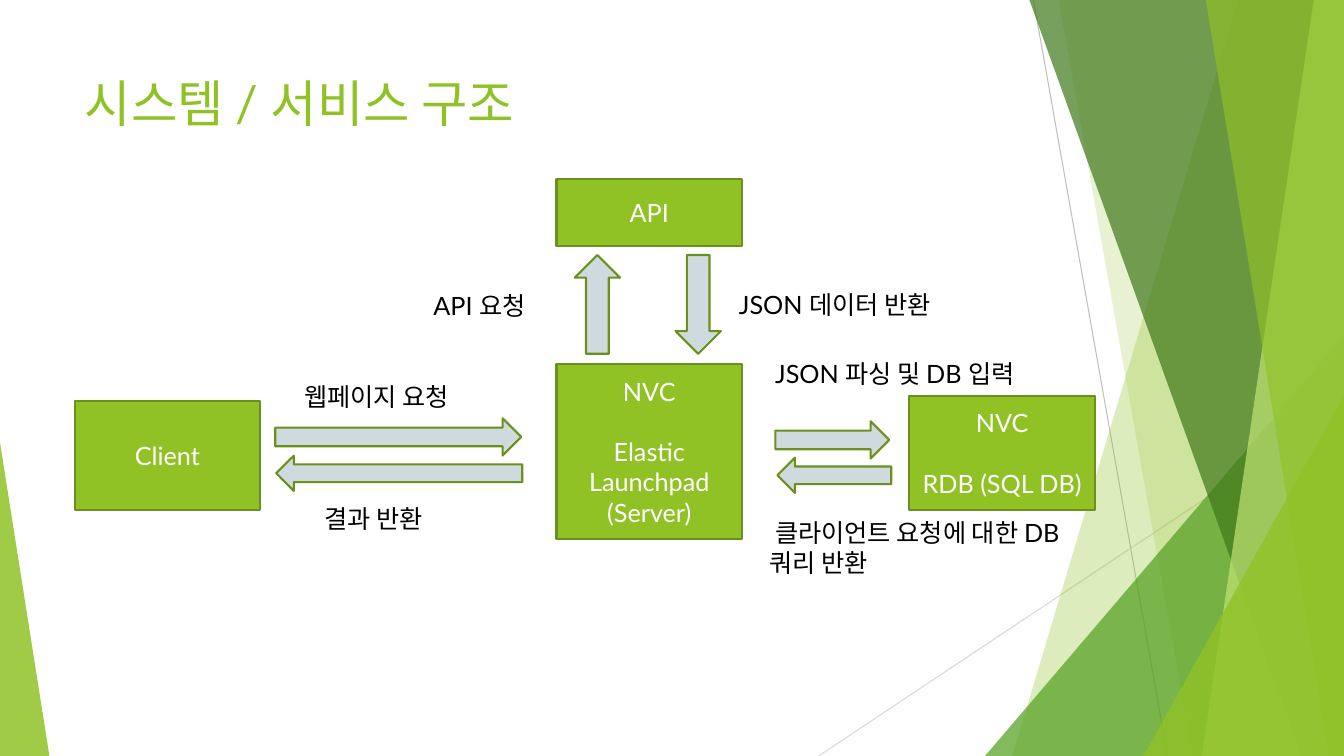
from lxml import etree
from pptx import Presentation
from pptx.dml.color import RGBColor
from pptx.enum import shapes as s, text as t
from pptx.oxml.ns import qn
from pptx.util import Inches, Pt

LIME, EDGE, PALE, WHITE, BLACK = "90C226", "6B901C", "CFDADF", "FFFFFF", "000000"
KIND = s.MSO_SHAPE


def color(code):
    """Turn a hex string into a colour."""
    return RGBColor.from_string(code)


def paint(shape, fill, edge=None, alpha=None):
    """Set fill, outline and opacity in percent."""
    shape.shadow.inherit = False
    shape.fill.solid()
    shape.fill.fore_color.rgb = color(fill)
    if alpha:
        tone = shape.fill._xPr.find(".//" + qn("a:srgbClr"))
        etree.SubElement(tone, qn("a:alpha"), val=str(alpha * 1000))
    if edge:
        shape.line.color.rgb = color(edge)
        shape.line.width = Pt(1.5)
    else:
        shape.line.fill.background()


def write(shape, lines, size=18, tint=BLACK, align="LEFT", anchor="TOP", gap=0, indent=0):
    """Put formatted lines of text into a shape."""
    frame = shape.text_frame
    frame.word_wrap = True
    frame.auto_size = t.MSO_AUTO_SIZE.NONE
    frame.vertical_anchor = t.MSO_ANCHOR[anchor]
    for i, line in enumerate(lines):
        para = frame.add_paragraph() if i else frame.paragraphs[0]
        para.alignment = t.PP_ALIGN[align]
        para.space_before = Pt(gap if i else 0)
        if indent:
            para._p.get_or_add_pPr().set("indent", str(Inches(indent)))
        run = para.add_run()
        run.text = line
        run.font.name = "Lato"
        run.font.size = Pt(size)
        run.font.color.rgb = color(tint)


def preset(slide, kind, box, fill, edge=None, alpha=None):
    """Add a painted preset shape."""
    shape = slide.shapes.add_shape(kind, *map(Inches, box))
    paint(shape, fill, edge, alpha)
    return shape


def node(slide, box, *lines):
    """Add a green box with centred text."""
    shape = preset(slide, KIND.RECTANGLE, box, LIME, EDGE)
    write(shape, lines, tint=WHITE, align="CENTER", anchor="MIDDLE", gap=21.6)


def label(slide, box, words, indent=0):
    """Add a plain caption."""
    write(slide.shapes.add_textbox(*map(Inches, box)), [words], indent=indent)


def line(slide, ends, tint):
    """Add a thin straight line."""
    rule = slide.shapes.add_connector(s.MSO_CONNECTOR.STRAIGHT, *map(Inches, ends))
    rule.line.color.rgb = color(tint)
    rule.line.width = Pt(0.75)
    etree.SubElement(rule._element.spPr, qn("a:effectLst"))


def band(slide, top, foot, fill, alpha):
    """Add a full-height band from its top left and bottom left to the right edge."""
    pen = slide.shapes.build_freeform(Inches(top), 0)
    ends = [(13.33, 0), (13.33, 7.5), (foot, 7.5)]
    pen.add_line_segments([(Inches(x), Inches(y)) for x, y in ends])
    paint(pen.convert_to_shape(), fill, alpha=alpha)


def wedge(slide, box, fill, alpha, tip=1):
    """Add a right triangle with its tip at the left (0) or right (1)."""
    shape = preset(slide, KIND.ISOSCELES_TRIANGLE, box, fill, alpha=alpha)
    shape.adjustments[0] = tip


def decor(slide):
    """Draw the green facets at the slide's sides."""
    line(slide, (10.25, 0, 11.58, 7.5), "BFBFBF")
    line(slide, (13.33, 4.03, 8.12, 7.5), "D9D9D9")
    band(slide, 12.28, 10.04, LIME, 30)
    band(slide, 10.5, 11.83, LIME, 20)
    wedge(slide, (9.77, 3.33, 3.56, 4.17), "54A021", 72)
    band(slide, 10.21, 12.91, "3F7819", 70)
    band(slide, 13.03, 11.92, "C0E474", 70)
    band(slide, 11.96, 13.18, LIME, 65)
    wedge(slide, (11.34, 3.93, 1.99, 3.57), LIME, 80)
    wedge(slide, (0, 4.39, 0.49, 3.11), LIME, 85, tip=0)


def main():
    """Build and save the slide."""
    deck = Presentation()
    deck.slide_width, deck.slide_height = Inches(13.33), Inches(7.5)
    slide = deck.slides.add_slide(deck.slide_layouts[5])
    decor(slide)

    title = slide.shapes.title
    title.left, title.top, title.width, title.height = map(Inches, (0.74, 0.67, 9.4, 1.44))
    write(title, ["시스템 / 서비스 구조"], size=36, tint=LIME)

    node(slide, (0.74, 3.98, 1.84, 1.08), "Client")
    node(slide, (5.52, 3.61, 1.84, 1.74), "NVC", "Elastic Launchpad (Server)")
    node(slide, (5.52, 1.78, 1.84, 0.66), "API")
    node(slide, (9.02, 3.93, 1.84, 1.13), "NVC", "RDB (SQL DB)")

    for kind, box in [
        (KIND.RIGHT_ARROW, (2.73, 4.15, 2.44, 0.37)),
        (KIND.LEFT_ARROW, (2.74, 4.52, 2.44, 0.35)),
        (KIND.UP_ARROW, (5.7, 2.53, 0.45, 0.98)),
        (KIND.DOWN_ARROW, (6.7, 2.53, 0.45, 0.98)),
        (KIND.RIGHT_ARROW, (7.69, 4.18, 1.13, 0.37)),
        (KIND.LEFT_ARROW, (7.71, 4.54, 1.13, 0.35)),
    ]:
        preset(slide, kind, box, PALE, EDGE)

    label(slide, (2.92, 3.73, 2.05, 0.4), "웹페이지 요청")
    label(slide, (4.2, 2.83, 1.49, 0.4), "API 요청")
    label(slide, (7.23, 2.82, 2.49, 0.4), "JSON 데이터 반환")
    label(slide, (7.53, 3.51, 2.97, 0.4), "JSON 파싱 및 DB 입력", indent=0.06)
    label(slide, (3.12, 4.94, 1.68, 0.4), "결과 반환")
    label(slide, (7.53, 5.08, 3.42, 0.71), "클라이언트 요청에 대한 DB 쿼리 반환", indent=0.06)
    deck.save("out.pptx")


if __name__ == "__main__":
    main()
